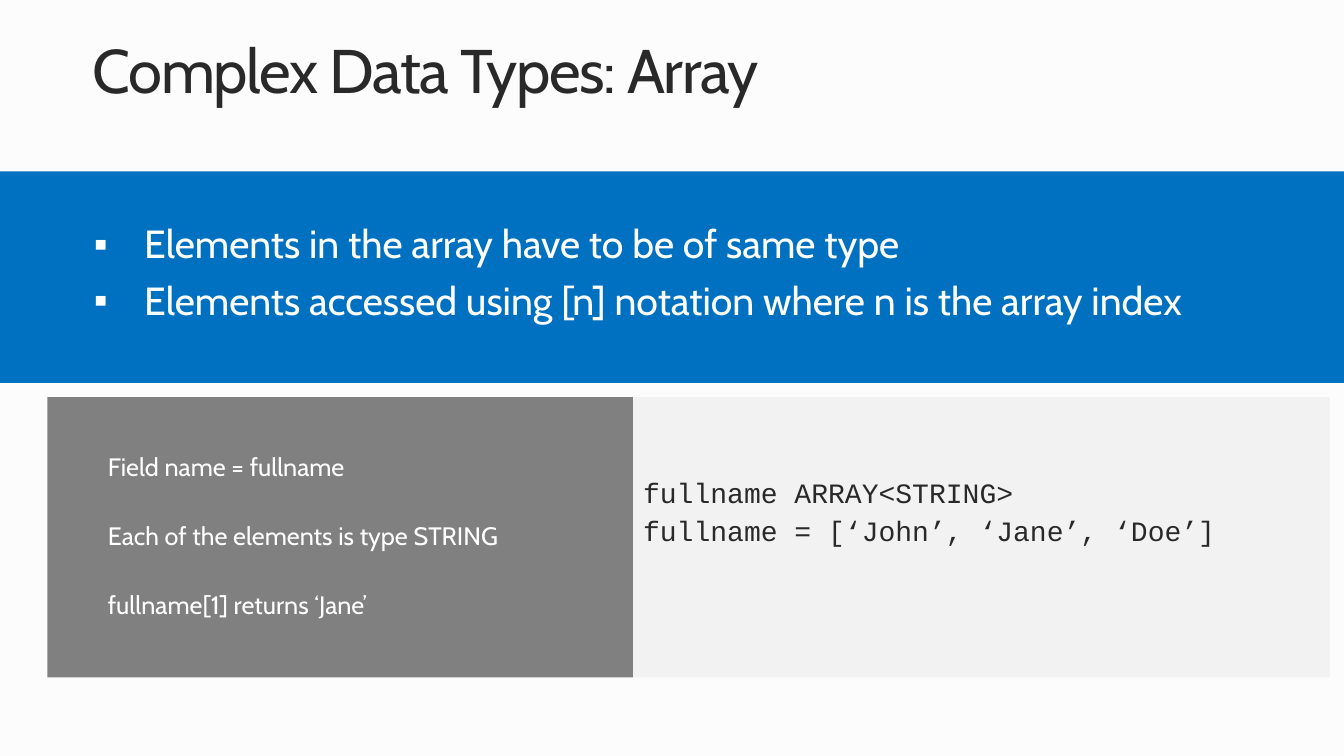
from dataclasses import dataclass

from lxml.etree import SubElement
from pptx import Presentation
from pptx.dml.color import RGBColor
from pptx.enum.shapes import MSO_SHAPE
from pptx.enum.text import MSO_ANCHOR, MSO_AUTO_SIZE, PP_ALIGN
from pptx.oxml.ns import qn
from pptx.util import Pt

EMU_PER_PX = 9144


@dataclass(frozen=True)
class Theme:
    paper: str = "FCFCFC"
    band: str = "0070C0"
    facts: str = "808080"
    code: str = "F2F2F2"
    dark: str = "292929"
    light: str = "FFFFFF"
    text_font: str = "Cabin"
    code_font: str = "Courier New"
    title_size: int = 44
    bullet_size: int = 28
    fact_size: int = 18
    code_size: int = 20


THEME = Theme()


def px(length):
    return length * EMU_PER_PX


def paint(fill, color):
    fill.solid()
    fill.fore_color.rgb = RGBColor.from_string(color)


def place(holder, left, top, width, height):
    holder.left, holder.top = px(left), px(top)
    holder.width, holder.height = px(width), px(height)


def set_frame(frame, anchor, left=10, top=5, right=10, bottom=5):
    frame.word_wrap = True
    frame.auto_size = MSO_AUTO_SIZE.NONE
    frame.vertical_anchor = anchor
    frame.margin_left, frame.margin_top = px(left), px(top)
    frame.margin_right, frame.margin_bottom = px(right), px(bottom)


def add_bullet(paragraph):
    properties = paragraph._p.get_or_add_pPr()
    properties.set("marL", str(px(63)))
    properties.set("indent", str(px(-50)))
    SubElement(properties, qn("a:buFont")).set("typeface", "Arial")
    SubElement(properties, qn("a:buChar")).set("char", "▪")


def write_lines(frame, lines, font, size, color, gap=0, spacings=None, bulleted=False):
    for index, line in enumerate(lines):
        paragraph = frame.add_paragraph() if index else frame.paragraphs[0]
        if bulleted:
            add_bullet(paragraph)
        paragraph.alignment = PP_ALIGN.LEFT
        paragraph.line_spacing = spacings[index] if spacings else 0.9
        paragraph.space_before = Pt(gap if index else 0)
        run = paragraph.add_run()
        run.text = line
        run.font.name = font
        run.font.size = Pt(size)
        run.font.color.rgb = RGBColor.from_string(color)


def add_panel(slide, left, top, width, height, color):
    panel = slide.shapes.add_shape(
        MSO_SHAPE.RECTANGLE, px(left), px(top), px(width), px(height))
    panel.shadow.inherit = False
    paint(panel.fill, color)
    panel.line.fill.background()
    return panel


def fill_title(title, text):
    place(title, 92, 40, 1220, 68)
    set_frame(title.text_frame, MSO_ANCHOR.TOP, 0, 0, 0, 0)
    write_lines(title.text_frame, [text], THEME.text_font, THEME.title_size, THEME.dark)
    properties = title.text_frame.paragraphs[0].runs[0]._r.get_or_add_rPr()
    properties.set("spc", "-100")


def fill_bullets(body, lines):
    place(body, 70, 190, 1240, 164)
    set_frame(body.text_frame, MSO_ANCHOR.MIDDLE)
    write_lines(body.text_frame, lines, THEME.text_font, THEME.bullet_size,
                THEME.light, gap=10, bulleted=True)


def main():
    deck = Presentation()
    deck.slide_width, deck.slide_height = px(1333), px(750)
    slide = deck.slides.add_slide(deck.slide_layouts[1])
    paint(slide.background.fill, THEME.paper)
    title, body = slide.placeholders

    band = add_panel(slide, 0, 170, 1333, 210, THEME.band)
    title._element.addprevious(band._element)

    fill_title(title, "Complex Data Types: Array")
    fill_bullets(body, [
        "Elements in the array have to be of same type",
        "Elements accessed using [n] notation where n is the array index",
    ])

    facts = add_panel(slide, 47, 394, 581, 278, THEME.facts).text_frame
    set_frame(facts, MSO_ANCHOR.MIDDLE, left=60)
    write_lines(facts, [
        "Field name = fullname",
        "Each of the elements is type STRING",
        "fullname[1] returns ‘Jane’",
    ], THEME.text_font, THEME.fact_size, THEME.light, gap=29.5)

    code = add_panel(slide, 628, 394, 691, 278, THEME.code).text_frame
    set_frame(code, MSO_ANCHOR.MIDDLE, bottom=53)
    write_lines(code, [
        "fullname ARRAY<STRING>",
        "fullname = [‘John’, ‘Jane’, ‘Doe’]",
    ], THEME.code_font, THEME.code_size, THEME.dark, gap=2.5, spacings=[0.9, 1.0])

    deck.save("out.pptx")


if __name__ == "__main__":
    main()
